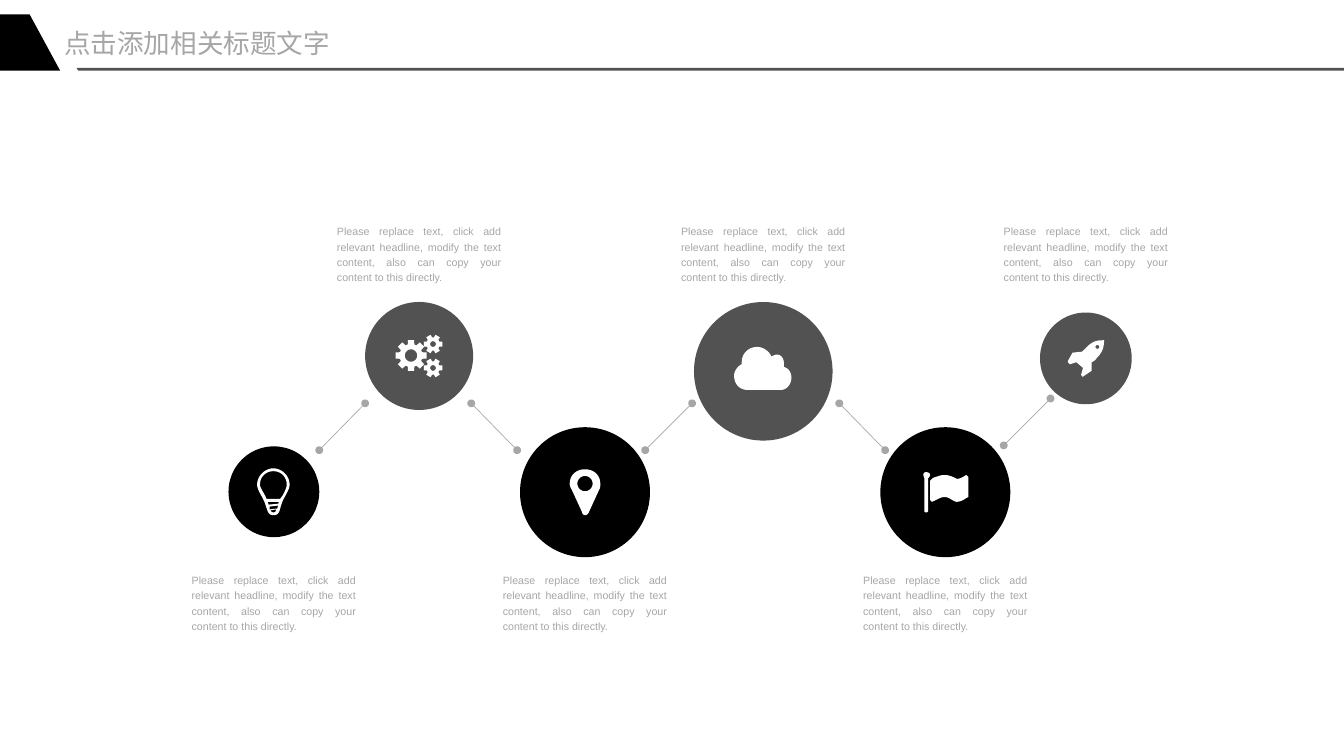
import math
from dataclasses import dataclass

from lxml import etree
from pptx import Presentation
from pptx.dml.color import RGBColor
from pptx.enum import shapes, text
from pptx.oxml import ns
from pptx.util import Inches, Pt


@dataclass(frozen=True)
class Theme:
    black: RGBColor = RGBColor(0x00, 0x00, 0x00)
    charcoal: RGBColor = RGBColor(0x52, 0x52, 0x52)
    grey: RGBColor = RGBColor(0xA6, 0xA6, 0xA6)
    white: RGBColor = RGBColor(0xFF, 0xFF, 0xFF)
    font: str = "Arial"
    title_size: int = 20
    caption_size: int = 8
    line_width: float = 0.5


THEME = Theme()
TITLE = "点击添加相关标题文字"
CAPTION = ("Please replace text, click add relevant headline, modify the text "
           "content, also can copy your content to this directly.")
CAPTION_WIDTH, CAPTION_HEIGHT = 1.72, 0.63
UPPER_CAPTION_TOP, LOWER_CAPTION_TOP = 2.33, 5.98


# Outlines: lists of points in inches
def trace(start, *steps):
    """Follow steps of two numbers (line) or six numbers (Bezier curve)."""
    points = [start]
    for step in steps:
        if len(step) == 2:
            points.append(step)
            continue
        x0, y0 = points[-1]
        x1, y1, x2, y2, x3, y3 = step
        for index in range(1, 13):
            t = index / 12
            weights = ((1 - t) ** 3, 3 * t * (1 - t) ** 2, 3 * t * t * (1 - t), t ** 3)
            points.append((sum(w * x for w, x in zip(weights, (x0, x1, x2, x3))),
                           sum(w * y for w, y in zip(weights, (y0, y1, y2, y3)))))
    return points


def polar(center_x, center_y, radius, angle):
    return center_x + radius * math.cos(angle), center_y + radius * math.sin(angle)


def ring(center_x, center_y, radius):
    return [polar(center_x, center_y, radius, math.tau * i / 32) for i in range(32)]


def gear(center_x, center_y, teeth, outer, root, hole):
    pitch = math.tau / teeth
    profile = ((root, -0.37), (outer, -0.25), (outer, 0.25), (root, 0.37))
    rim = [polar(center_x, center_y, radius, pitch * (tooth + offset))
           for tooth in range(teeth) for radius, offset in profile]
    return [rim, ring(center_x, center_y, hole)]


# Icons: outer contours and their holes
BULB = [
    trace((2.86, 4.9), (2.77, 4.9, 2.69, 4.98, 2.69, 5.07),
          (2.69, 5.13, 2.75, 5.2, 2.77, 5.26), (2.8, 5.34, 2.8, 5.39, 2.86, 5.39),
          (2.93, 5.39, 2.92, 5.34, 2.95, 5.26), (2.97, 5.2, 3.03, 5.13, 3.03, 5.07),
          (3.03, 4.98, 2.95, 4.9, 2.86, 4.9)),
    trace((2.93, 5.22), (2.79, 5.22), (2.78, 5.21, 2.78, 5.19, 2.77, 5.18),
          (2.75, 5.14, 2.72, 5.1, 2.72, 5.07), (2.72, 4.99, 2.78, 4.93, 2.86, 4.93),
          (2.94, 4.93, 3, 4.99, 3, 5.07), (3, 5.1, 2.98, 5.14, 2.96, 5.18),
          (2.95, 5.19, 2.94, 5.21, 2.93, 5.22)),
    [(2.81, 5.28), (2.8, 5.25), (2.92, 5.25), (2.91, 5.27)],
    [(2.9, 5.32), (2.82, 5.33), (2.82, 5.3), (2.91, 5.29)],
    trace((2.86, 5.36), (2.85, 5.36, 2.84, 5.36, 2.83, 5.34), (2.89, 5.33),
          (2.88, 5.36, 2.88, 5.36, 2.86, 5.36)),
]
GEARS = [*gear(4.3, 3.72, 8, 0.165, 0.12, 0.065),
         *gear(4.53, 3.6, 6, 0.1, 0.07, 0.03),
         *gear(4.53, 3.85, 6, 0.1, 0.07, 0.03)]
PIN = [
    trace((6.27, 5.12), (6.16, 5.36), (6.15, 5.38, 6.14, 5.39, 6.12, 5.39),
          (6.11, 5.39, 6.09, 5.38, 6.09, 5.36), (5.98, 5.12),
          (5.97, 5.11, 5.96, 5.08, 5.96, 5.06), (5.96, 4.97, 6.03, 4.91, 6.12, 4.91),
          (6.21, 4.91, 6.28, 4.97, 6.28, 5.06), (6.28, 5.08, 6.28, 5.11, 6.27, 5.12)),
    ring(6.12, 5.06, 0.08),
]
CLOUD = [
    trace((8.17, 4.08), (7.82, 4.08), (7.74, 4.08, 7.68, 4.02, 7.68, 3.93),
          (7.68, 3.88, 7.72, 3.83, 7.76, 3.81), (7.76, 3.79),
          (7.76, 3.7, 7.83, 3.63, 7.92, 3.63), (7.99, 3.63, 8.05, 3.68, 8.07, 3.73),
          (8.09, 3.72, 8.11, 3.71, 8.13, 3.71), (8.17, 3.71, 8.2, 3.75, 8.2, 3.79),
          (8.2, 3.84), (8.25, 3.85, 8.28, 3.9, 8.28, 3.95),
          (8.28, 4.02, 8.23, 4.08, 8.17, 4.08)),
]
FLAG = [
    trace((9.71, 5), (9.71, 5.35), (9.7, 5.36), (9.68, 5.36), (9.67, 5.35), (9.67, 5),
          (9.67, 5, 9.66, 4.98, 9.66, 4.97), (9.66, 4.95, 9.67, 4.94, 9.69, 4.94),
          (9.71, 4.94, 9.73, 4.95, 9.73, 4.97), (9.73, 4.98, 9.72, 5, 9.71, 5)),
    trace((10.13, 5.2), (10.11, 5.21), (10.08, 5.23, 10.05, 5.25, 10.01, 5.25),
          (9.97, 5.25, 9.94, 5.2, 9.88, 5.2), (9.84, 5.2, 9.8, 5.23, 9.75, 5.25),
          (9.73, 5.23), (9.73, 5.03), (9.76, 5), (9.8, 4.99, 9.83, 4.97, 9.88, 4.97),
          (9.92, 4.97, 9.95, 4.98, 9.99, 5), (10.01, 5.01),
          (10.06, 5.01, 10.1, 4.97, 10.11, 4.97), (10.13, 4.99)),
]
ROCKET = [
    trace((11.47, 3.75), (11.46, 3.77, 11.44, 3.78, 11.42, 3.79), (11.42, 3.88),
          (11.33, 3.94), (11.32, 3.94), (11.31, 3.92), (11.33, 3.85), (11.26, 3.79),
          (11.2, 3.81), (11.19, 3.81), (11.17, 3.79), (11.17, 3.78), (11.22, 3.69),
          (11.32, 3.68), (11.33, 3.67, 11.35, 3.65, 11.36, 3.64),
          (11.42, 3.58, 11.46, 3.56, 11.54, 3.56), (11.55, 3.56),
          (11.55, 3.64, 11.53, 3.69, 11.47, 3.75)),
    ring(11.48, 3.63, 0.02),
]

# Steps: left, top, diameter, icon, whether in the upper row
STEPS = [
    (2.39, 4.67, 0.95, BULB, False),
    (3.82, 3.16, 1.13, GEARS, True),
    (5.44, 4.47, 1.36, PIN, False),
    (7.26, 3.16, 1.45, CLOUD, True),
    (9.21, 4.47, 1.36, FLAG, False),
    (10.88, 3.27, 0.96, ROCKET, True),
]
# Links between neighbouring steps: start and end
LINKS = [
    ((3.34, 4.71), (3.82, 4.22)),
    ((4.93, 4.22), (5.41, 4.71)),
    ((6.75, 4.71), (7.24, 4.22)),
    ((8.78, 4.22), (9.26, 4.71)),
    ((10.5, 4.66), (10.99, 4.17)),
]


# Elements
def paint(shape, color):
    shape.shadow.inherit = False
    shape.fill.solid()
    shape.fill.fore_color.rgb = color
    shape.line.fill.background()


def add_outline(owner, contours, color):
    contours = [[(Inches(x), Inches(y)) for x, y in contour] for contour in contours]
    builder = owner.shapes.build_freeform(*contours[0][0])
    for contour in contours:
        builder.move_to(*contour[0])
        builder.add_line_segments(contour[1:], close=True)
    paint(builder.convert_to_shape(), color)


def add_badge(slide, left, top, diameter, icon, color):
    group = slide.shapes.add_group_shape()
    circle = group.shapes.add_shape(shapes.MSO_SHAPE.OVAL, Inches(left), Inches(top),
                                    Inches(diameter), Inches(diameter))
    paint(circle, color)
    add_outline(group, icon, THEME.white)


def add_link(slide, start, end):
    connector = slide.shapes.add_connector(
        shapes.MSO_CONNECTOR.STRAIGHT, *map(Inches, start + end))
    connector.line.color.rgb = THEME.grey
    connector.line.width = Pt(THEME.line_width)
    line = connector.line._get_or_add_ln()
    for name in ("a:headEnd", "a:tailEnd"):
        etree.SubElement(line, ns.qn(name), type="oval")
    etree.SubElement(connector._element.spPr, ns.qn("a:effectLst"))


def add_text(slide, left, top, width, height, words, size):
    box = slide.shapes.add_textbox(*map(Inches, (left, top, width, height)))
    frame = box.text_frame
    frame.word_wrap = True
    frame.auto_size = text.MSO_AUTO_SIZE.SHAPE_TO_FIT_TEXT
    frame.margin_left = frame.margin_top = frame.margin_right = frame.margin_bottom = 0
    paragraph = frame.paragraphs[0]
    run = paragraph.add_run()
    run.text = words
    run.font.name = THEME.font
    run.font.size = Pt(size)
    run.font.color.rgb = THEME.grey
    return paragraph


def add_caption(slide, center_x, top):
    paragraph = add_text(slide, center_x - CAPTION_WIDTH / 2, top, CAPTION_WIDTH,
                         CAPTION_HEIGHT, CAPTION, THEME.caption_size)
    paragraph.alignment = text.PP_ALIGN.JUSTIFY
    paragraph.line_spacing = 1.2


def main():
    presentation = Presentation()
    presentation.slide_width, presentation.slide_height = Inches(14.06), Inches(7.91)
    slide = presentation.slides.add_slide(presentation.slide_layouts[6])

    # Steps with captions
    for left, top, diameter, icon, upper in STEPS:
        add_badge(slide, left, top, diameter, icon, THEME.charcoal if upper else THEME.black)
        add_caption(slide, left + diameter / 2,
                    UPPER_CAPTION_TOP if upper else LOWER_CAPTION_TOP)
    for start, end in LINKS:
        add_link(slide, start, end)

    # Header
    add_outline(slide, [[(0.8, 0.71), (14.06, 0.71), (14.06, 0.74), (0.82, 0.74)]],
                THEME.charcoal)
    add_outline(slide, [[(0.31, 0.15), (0.63, 0.74), (0, 0.74), (0, 0.15)]], THEME.black)
    add_text(slide, 0.67, 0.28, 3.35, 0.34, TITLE, THEME.title_size)

    presentation.save("out.pptx")


if __name__ == "__main__":
    main()
